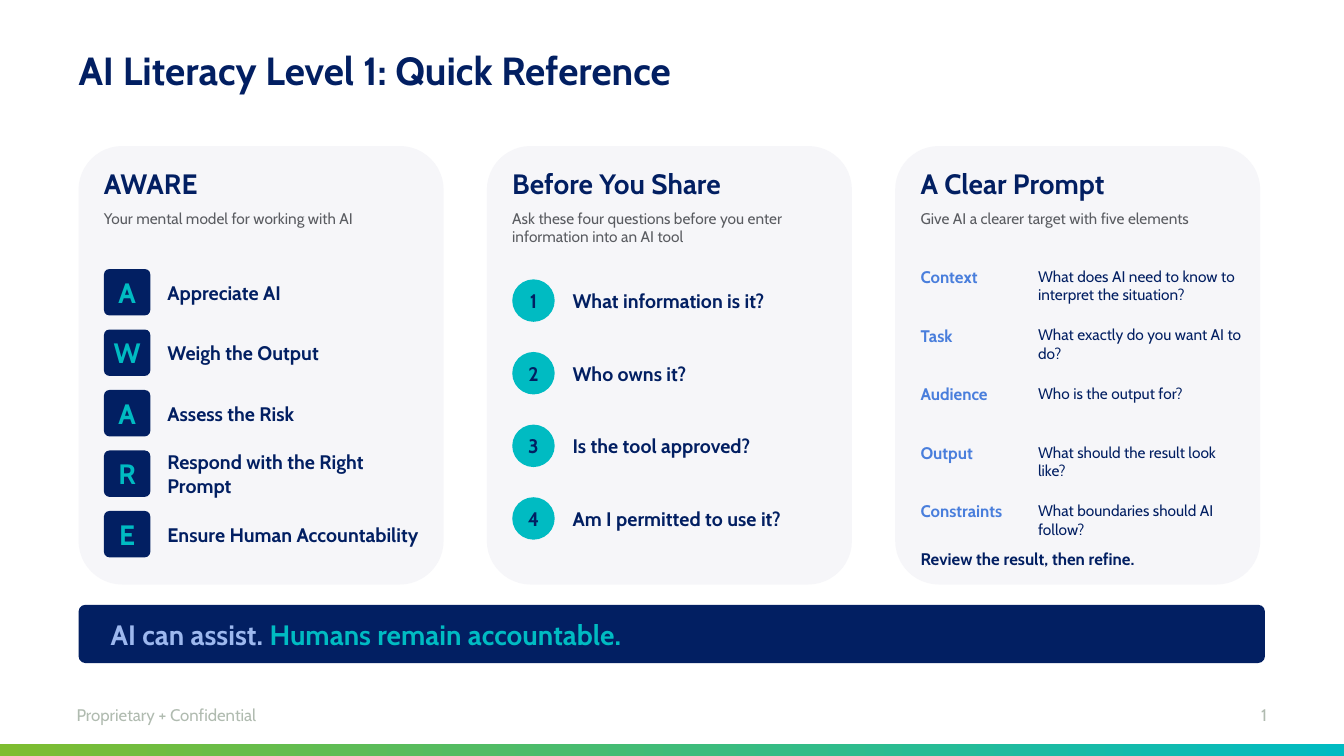
"""Build the AI Literacy Level 1 quick reference slide."""
from pptx import Presentation
from pptx.dml.color import RGBColor
from pptx.enum.shapes import MSO_SHAPE
from pptx.enum.text import MSO_ANCHOR, MSO_AUTO_SIZE, PP_ALIGN
from pptx.util import Cm, Pt

RECTANGLE, ROUNDED, OVAL = MSO_SHAPE.RECTANGLE, MSO_SHAPE.ROUNDED_RECTANGLE, MSO_SHAPE.OVAL
TOP, MIDDLE = MSO_ANCHOR.TOP, MSO_ANCHOR.MIDDLE
LEFT, CENTER, RIGHT = PP_ALIGN.LEFT, PP_ALIGN.CENTER, PP_ALIGN.RIGHT
FIT_SHAPE = MSO_AUTO_SIZE.SHAPE_TO_FIT_TEXT

FONT = "Cabin"
NAVY = RGBColor(0x02, 0x1F, 0x62)
TEAL = RGBColor(0x00, 0xBB, 0xC2)
GREEN = RGBColor(0x7E, 0xBD, 0x30)
BLUE = RGBColor(0x49, 0x7E, 0xDC)
PALE_BLUE = RGBColor(0x9D, 0xB8, 0xEE)
PANEL_GRAY = RGBColor(0xF6, 0xF6, 0xF9)
TEXT_GRAY = RGBColor(0x5A, 0x5C, 0x61)
FOOTER_GRAY = RGBColor(0xB0, 0xBB, 0xB0)

presentation = Presentation()
presentation.slide_width = Cm(33.87)
presentation.slide_height = Cm(19.05)
slide = presentation.slides.add_slide(presentation.slide_layouts[6])


def add_text(box, runs, size, bold=False, anchor=TOP, align=LEFT, wrap=True):
    """Write (text, colour) runs into a text box or shape without margins."""
    frame = box.text_frame
    frame.word_wrap = wrap
    frame.vertical_anchor = anchor
    frame.margin_left = frame.margin_right = frame.margin_top = frame.margin_bottom = 0
    paragraph = frame.paragraphs[0]
    paragraph.alignment = align
    for text, color in runs:
        run = paragraph.add_run()
        run.text = text
        run.font.name = FONT
        run.font.size = Pt(size)
        run.font.bold = bold
        run.font.color.rgb = color
    return frame


def add_block(kind, left, top, width, height, color):
    """Add a flat filled shape without outline."""
    shape = slide.shapes.add_shape(kind, Cm(left), Cm(top), Cm(width), Cm(height))
    shape.shadow.inherit = False
    shape.line.fill.background()
    shape.fill.solid()
    shape.fill.fore_color.rgb = color
    if kind == ROUNDED:
        shape.adjustments[0] = 0.12
    return shape


band = add_block(RECTANGLE, 0, 18.75, 33.87, 0.3, TEAL)
band.fill.gradient()
band.fill.gradient_angle = 0
for stop, position, color in zip(band.fill.gradient_stops, (0, 1), (GREEN, TEAL)):
    stop.position = position
    stop.color.rgb = color

PANEL_LEFT, PANEL_PITCH, PANEL_INSET = 1.98, 10.29, 0.64
panels = [
    ("AWARE", "Your mental model for working with AI"),
    ("Before You Share", "Ask these four questions before you enter information into an AI tool"),
    ("A Clear Prompt", "Give AI a clearer target with five elements"),
]
content_lefts = [PANEL_LEFT + PANEL_INSET + PANEL_PITCH * index for index in range(len(panels))]
aware_left, share_left, prompt_left = content_lefts

texts = [
    ("Proprietary + Confidential", 1.93, 17.75, 4.72, 0.51, 12, FOOTER_GRAY, False, TOP, LEFT, False),
    ("1", 31.5, 17.75, 0.43, 0.51, 12, FOOTER_GRAY, False, TOP, RIGHT, False),
    ("AI Literacy Level 1: Quick Reference", 1.98, 1.3, 24.77, 1.07, 28, NAVY, True, TOP, LEFT, True),
]

for left, (heading, subtitle) in zip(content_lefts, panels):
    add_block(ROUNDED, left - PANEL_INSET, 3.68, 9.2, 11.05, PANEL_GRAY)
    texts.append((heading, left, 4.19, 7.92, 1.02, 20, NAVY, True, TOP, LEFT, True))
    texts.append((subtitle, left, 5.26, 7.92, 1.27, 11, TEXT_GRAY, False, TOP, LEFT, True))

aware_items = [
    ("A", "Appreciate AI"),
    ("W", "Weigh the Output"),
    ("A", "Assess the Risk"),
    ("R", "Respond with the Right Prompt"),
    ("E", "Ensure Human Accountability"),
]
questions = [
    ("1", "What information is it?"),
    ("2", "Who owns it?"),
    ("3", "Is the tool approved?"),
    ("4", "Am I permitted to use it?"),
]
badge_lists = [
    (aware_items, ROUNDED, aware_left, 6.78, 1.524, 1.17, 1.6, 6.4, NAVY, TEAL, 20),
    (questions, OVAL, share_left, 7.04, 1.83, 1.07, 1.52, 6.53, TEAL, NAVY, 14),
]
for items, kind, left, first_top, pitch, side, offset, width, fill, color, size in badge_lists:
    for index, (mark, label) in enumerate(items):
        top = first_top + pitch * index
        badge = add_block(kind, left, top, side, side, fill)
        add_text(badge, [(mark, color)], size, True, MIDDLE, CENTER)
        texts.append((label, left + offset, top, width, side, 14, NAVY, True, MIDDLE, LEFT, True))

prompt_elements = [
    ("Context", "What does AI need to know to interpret the situation?"),
    ("Task", "What exactly do you want AI to do?"),
    ("Audience", "Who is the output for?"),
    ("Output", "What should the result look like?"),
    ("Constraints", "What boundaries should AI follow?"),
]
for index, (element, question) in enumerate(prompt_elements):
    top = 6.73 + 1.475 * index
    texts.append((element, prompt_left, top, 2.92, 1.07, 12, BLUE, True, TOP, LEFT, True))
    texts.append((question, prompt_left + 2.96, top, 5.13, 1.4, 11, NAVY, False, TOP, LEFT, True))
texts.append(("Review the result, then refine.", prompt_left, 13.84, 7.92, 0.76, 12, NAVY, True, TOP, LEFT, True))

for text, left, top, width, height, size, color, bold, anchor, align, wrap in texts:
    box = slide.shapes.add_textbox(Cm(left), Cm(top), Cm(width), Cm(height))
    frame = add_text(box, [(text, color)], size, bold, anchor, align, wrap)
    frame.auto_size = FIT_SHAPE
    if size == 28:
        frame.paragraphs[0].line_spacing = 0.9

banner = add_block(ROUNDED, PANEL_LEFT, 15.24, 29.9, 1.47, NAVY)
message = [("AI can assist. ", PALE_BLUE), ("Humans remain accountable.", TEAL)]
banner_frame = add_text(banner, message, 20, True, MIDDLE)
banner_frame.margin_left = Cm(0.76)

presentation.save("out.pptx")
